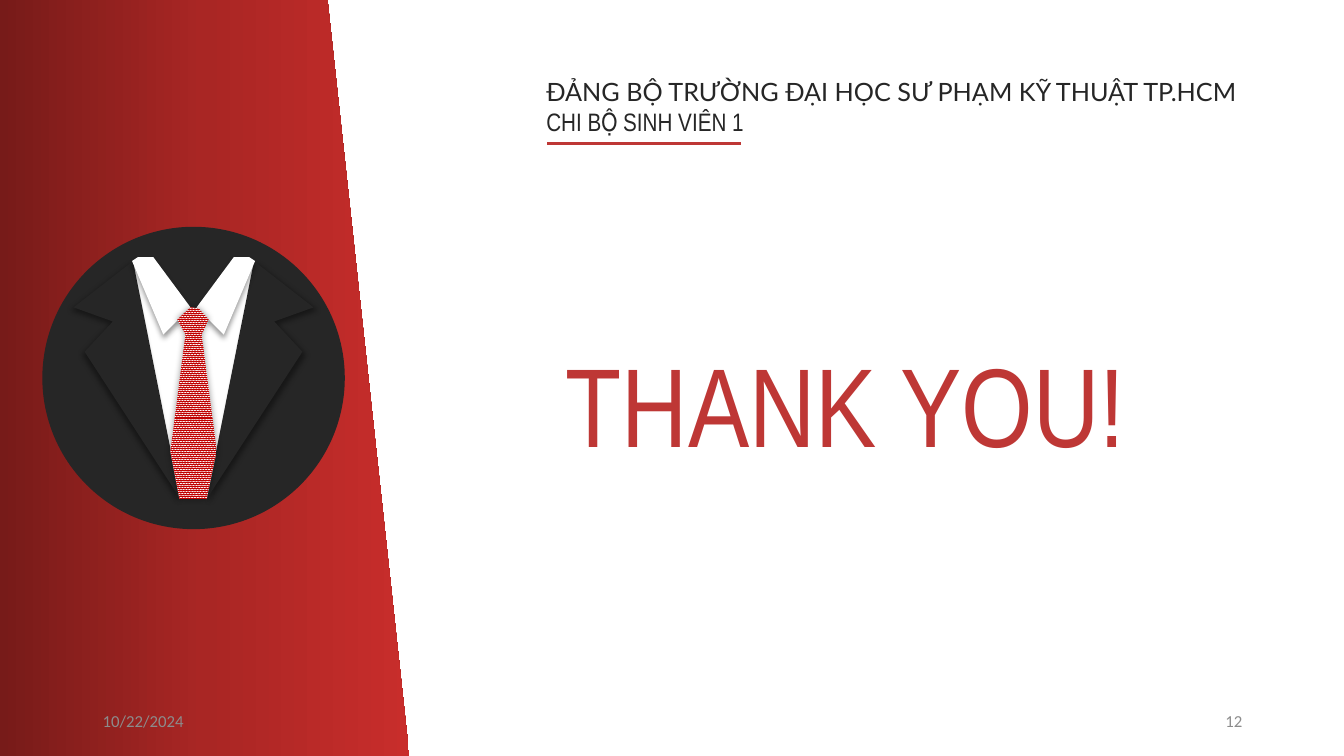
import pptx
import pptx.dml.color
import pptx.enum.dml
import pptx.enum.shapes
import pptx.enum.text
import pptx.oxml
import pptx.oxml.ns
import pptx.util

WIDTH, HEIGHT = 13.33, 7.5
RED, DARK, WHITE, GREY = "BE3735", "262626", "FFFFFF", "8C8C8C"
THANKS = "THANK YOU!"
HEADER = [
    ("ĐẢNG BỘ TRƯỜNG ĐẠI HỌC SƯ PHẠM KỸ THUẬT TP.HCM", "Lato"),
    ("CHI BỘ SINH VIÊN 1", "Arial Narrow"),
]
FOOTERS = [("10/22/2024", 0.92, "LEFT"), ("12", 9.42, "RIGHT")]
PANEL_DEPTH = 4.06
PANEL_STOPS = [(0, "771B19"), (50, "A92624"), (100, "C82D2B")]

AXIS = 1.92
SHIRT = [(1.31, 2.6), (1.9, 3.17), (2.52, 2.62), (2.2, 4.54), (1.62, 4.54)]
LAPEL = [(1.32, 2.59), (0.73, 3.05), (1.12, 3.19), (0.84, 3.49), (1.79, 4.95)]
COLLAR = [(1.31, 2.59), (1.37, 2.55), (1.52, 2.55), (1.89, 3.05), (1.62, 3.32)]
TIE = [(1.89, 3.05), (1.76, 3.17), (1.84, 3.32), (1.69, 4.48), (1.78, 4.95),
       (2.05, 4.95), (2.15, 4.47), (2, 3.32), (2.07, 3.17), (1.97, 3.06)]
PAIRS = [(LAPEL, DARK, 135), (COLLAR, WHITE, 90)]


def rgb(value):
    """Turn a hex string into a colour."""
    return pptx.dml.color.RGBColor.from_string(value)


def inches(*lengths):
    """Convert lengths in inches to slide units."""
    return [pptx.util.Inches(length) for length in lengths]


def element(body):
    """Parse one DrawingML element."""
    return pptx.oxml.parse_xml(body.replace(">", f" {pptx.oxml.ns.nsdecls('a')}>", 1))


def paint(shape, fill):
    """Give a shape a plain fill with no outline or shadow."""
    shape.fill.solid()
    shape.fill.fore_color.rgb = rgb(fill)
    shape.line.fill.background()
    shape.shadow.inherit = False


def cast_shadow(shape, blur, distance, direction):
    """Add a soft black shadow, measured in points and degrees."""
    effects = shape._element.spPr.find(pptx.oxml.ns.qn("a:effectLst"))
    effects.append(element(
        f'<a:outerShdw blurRad="{pptx.util.Pt(blur)}" dist="{pptx.util.Pt(distance)}" '
        f'dir="{direction * 60000}" algn="ctr" rotWithShape="0">'
        '<a:srgbClr val="000000"><a:alpha val="40000"/></a:srgbClr></a:outerShdw>'))


def outline(shapes, points, fill):
    """Draw a closed polygon."""
    corners = [inches(*point) for point in points]
    builder = shapes.build_freeform(*corners[0])
    builder.add_line_segments(corners[1:], close=True)
    shape = builder.convert_to_shape()
    paint(shape, fill)
    return shape


def write(frame, lines, size, color, align="LEFT", anchor="TOP"):
    """Fill a text frame with lines of (text, font)."""
    frame.word_wrap = True
    frame.auto_size = pptx.enum.text.MSO_AUTO_SIZE.NONE
    frame.vertical_anchor = pptx.enum.text.MSO_ANCHOR[anchor]
    frame.text = "\n".join(text for text, _ in lines)
    for paragraph, (_, font) in zip(frame.paragraphs, lines):
        paragraph.alignment = pptx.enum.text.PP_ALIGN[align]
        for run in paragraph.runs:
            run.font.name = font
            run.font.size = pptx.util.Pt(size)
            run.font.color.rgb = rgb(color)


def add_panel(shapes):
    """Draw the slanted red panel on the left edge."""
    panel = shapes.add_shape(
        pptx.enum.shapes.MSO_SHAPE.FLOWCHART_MANUAL_INPUT,
        *inches((PANEL_DEPTH - HEIGHT) / 2, (HEIGHT - PANEL_DEPTH) / 2, HEIGHT, PANEL_DEPTH))
    panel.rotation = 90
    paint(panel, RED)
    stops = "".join(f'<a:gs pos="{share * 1000}"><a:srgbClr val="{color}"/></a:gs>'
                    for share, color in PANEL_STOPS)
    properties = panel._element.spPr
    solid = properties.find(pptx.oxml.ns.qn("a:solidFill"))
    properties.replace(solid, element(
        f'<a:gradFill rotWithShape="1"><a:gsLst>{stops}</a:gsLst>'
        '<a:lin ang="16200000" scaled="0"/></a:gradFill>'))


def add_suit(shapes):
    """Draw the round suit and tie emblem."""
    suit = shapes.add_group_shape().shapes
    disc = suit.add_shape(pptx.enum.shapes.MSO_SHAPE.OVAL, *inches(AXIS - 1.5, 2.25, 3, 3))
    paint(disc, DARK)
    outline(suit, SHIRT, WHITE)
    for points, fill, direction in PAIRS:
        mirrored = [(2 * AXIS - x, y) for x, y in points]
        cast_shadow(outline(suit, points, fill), 4, 3, direction)
        cast_shadow(outline(suit, mirrored, fill), 4, 3, 180 - direction)
    tie = outline(suit, TIE, WHITE)
    tie.fill.patterned()
    tie.fill.pattern = pptx.enum.dml.MSO_PATTERN.PERCENT_90
    tie.fill.fore_color.rgb = rgb("C00000")
    tie.fill.back_color.rgb = rgb(WHITE)
    cast_shadow(tie, 5, 0, 0)


def add_header(shapes):
    """Write the organisation lines and underline them."""
    header = shapes.add_group_shape().shapes
    names = header.add_textbox(*inches(5.32, 0.71, 7.3, 0.71))
    write(names.text_frame, HEADER, 18, DARK)
    rule = header.add_connector(pptx.enum.shapes.MSO_CONNECTOR.STRAIGHT,
                                *inches(5.43, 1.42, 7.35, 1.42))
    rule.line.color.rgb = rgb(RED)
    rule.line.width = pptx.util.Pt(2.25)
    rule._element.spPr.append(element("<a:effectLst></a:effectLst>"))


def main():
    """Build the closing slide."""
    deck = pptx.Presentation()
    deck.slide_width, deck.slide_height = inches(WIDTH, HEIGHT)
    slide = deck.slides.add_slide(deck.slide_layouts.get_by_name("Title Only"))
    add_panel(slide.shapes)
    add_suit(slide.shapes)
    thanks = slide.shapes.title
    thanks.left, thanks.top, thanks.width, thanks.height = inches(5.32, 3.28, 6.14, 1.45)
    write(thanks.text_frame, [(THANKS, "Arial Narrow")], 80, RED, "CENTER")
    add_header(slide.shapes)
    for text, left, align in FOOTERS:
        footer = slide.shapes.add_textbox(*inches(left, 6.95, 3, 0.4))
        write(footer.text_frame, [(text, "Calibri")], 12, GREY, align, "MIDDLE")
    deck.save("out.pptx")


if __name__ == "__main__":
    main()
